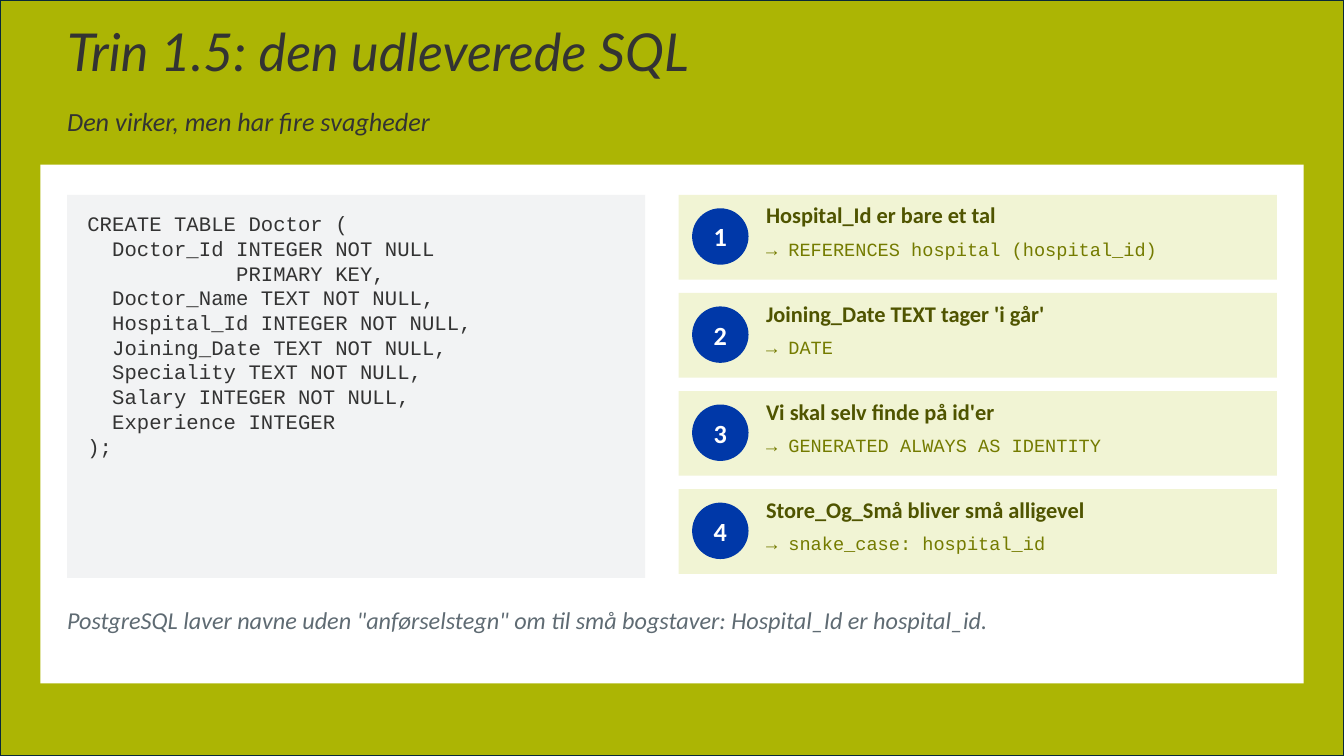
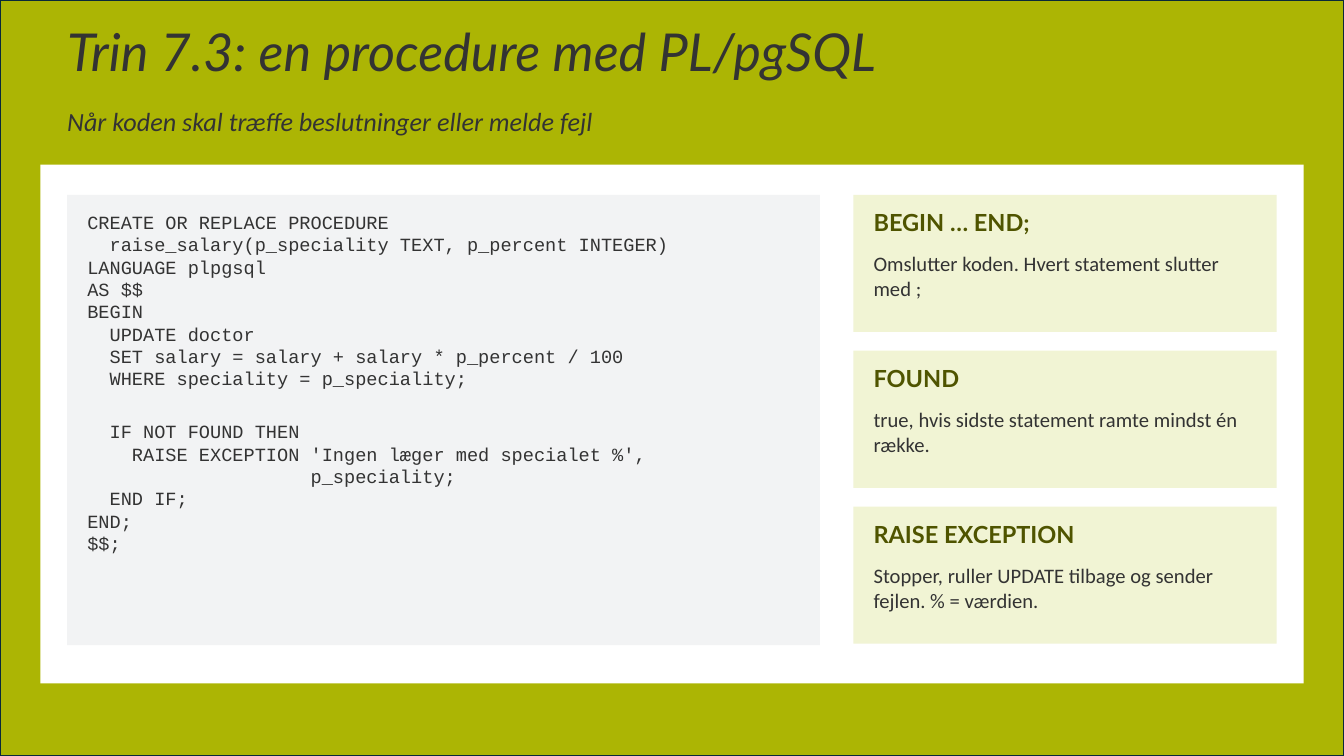
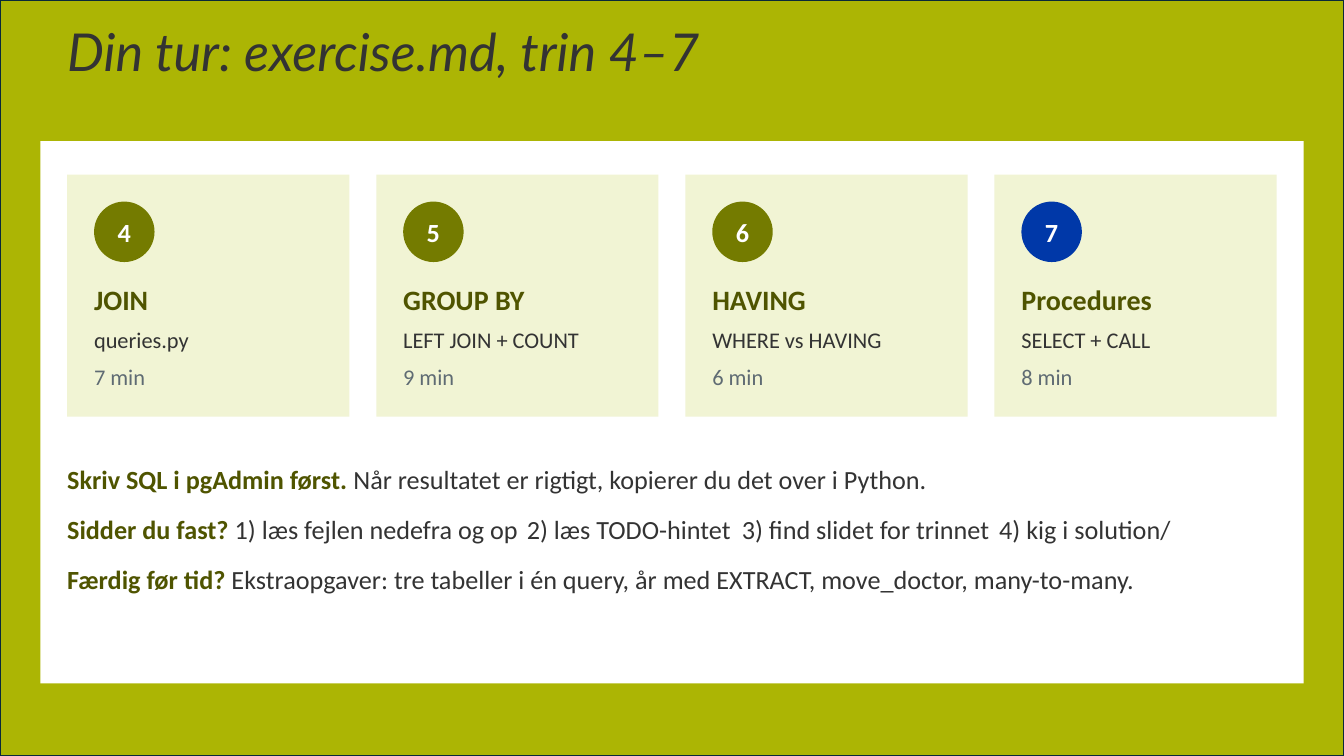
from lxml.etree import SubElement
from pptx import Presentation
from pptx.dml.color import RGBColor
from pptx.enum.shapes import MSO_SHAPE as Preset
from pptx.enum.text import MSO_ANCHOR as Anchor, PP_ALIGN as Align
from pptx.oxml.ns import qn
from pptx.util import Pt

PX = 6096  # EMU per px: 150 px to the inch
SLIDE_W, SLIDE_H = 2000, 1125
MARGIN, CONTENT_W = 100, 1800
PANEL_BOTTOM = 1017

LIME, NAVY, BLUE = "ACB504", "092A39", "0038A8"
OLIVE, DARK_OLIVE, PALE = "747B00", "4F5400", "F1F4D4"
INK, GREY, CODE_BG, WHITE = "333333", "5F6B73", "F2F3F4", "FFFFFF"
BODY, DISPLAY, MONO = "Calibri", "Lato", "Courier New"


def color(hex_string):
    return RGBColor.from_string(hex_string)


def emu(*lengths):
    return [round(length * PX) for length in lengths]


def write(frame, paragraphs, size=16, font=BODY, fill=INK, bold=False,
          italic=False, align=Align.LEFT, anchor=Anchor.TOP,
          line_spacing=None, after=None, blank_gap=21.8, tabs=()):
    """Write paragraphs; each is a string or a list of (text, fill, bold) runs.

    An empty string becomes space before the next paragraph.
    """
    frame.word_wrap = True
    frame.vertical_anchor = anchor
    frame.margin_left = frame.margin_top = 0
    frame.margin_right = frame.margin_bottom = 0
    paragraph, gap = frame.paragraphs[0], None
    for index, content in enumerate(paragraphs):
        if not content:
            gap = Pt(blank_gap)
            continue
        if index:
            paragraph = frame.add_paragraph()
        paragraph.alignment = align
        if line_spacing:
            paragraph.line_spacing = line_spacing
        if after is not None:
            paragraph.space_after = Pt(after)
        if gap:
            paragraph.space_before, gap = gap, None
        runs = [(content, fill, bold)] if isinstance(content, str) else content
        if any("\t" in text for text, _, _ in runs):
            stops = SubElement(paragraph._p.get_or_add_pPr(), qn("a:tabLst"))
            for stop in emu(*tabs):
                SubElement(stops, qn("a:tab"), pos=str(stop), algn="l")
        for text, run_fill, run_bold in runs:
            run = paragraph.add_run()
            run.text = text
            run.font.size, run.font.name = Pt(size), font
            run.font.bold, run.font.italic = run_bold, italic
            run.font.color.rgb = color(run_fill)


def add_text(slide, box, *paragraphs, **style):
    write(slide.shapes.add_textbox(*emu(*box)).text_frame, paragraphs, **style)


def add_block(slide, box, fill, preset=Preset.RECTANGLE, border=None):
    block = slide.shapes.add_shape(preset, *emu(*box))
    block.shadow.inherit = False
    block.fill.solid()
    block.fill.fore_color.rgb = color(fill)
    if border:
        block.line.color.rgb = color(border)
        block.line.width = Pt(1.5)
    else:
        block.line.fill.background()
    return block


def add_badge(slide, left, top, diameter, number, fill):
    badge = add_block(slide, (left, top, diameter, diameter), fill, Preset.OVAL)
    write(badge.text_frame, [str(number)], size=18.7, fill=WHITE, bold=True,
          align=Align.CENTER, anchor=Anchor.MIDDLE)


def add_base(deck, title, subtitle=None):
    """Frame shared by all slides: background, title, white panel."""
    slide = deck.slides.add_slide(deck.slide_layouts[6])
    add_block(slide, (0, 0, SLIDE_W, SLIDE_H), LIME, border=NAVY)
    add_text(slide, (MARGIN, 40, CONTENT_W, 110), title,
             size=37.3, font=DISPLAY, italic=True, line_spacing=0.9)
    panel_top = 245 if subtitle else 210
    add_block(slide, (60, panel_top, 1880, PANEL_BOTTOM - panel_top), WHITE)
    if subtitle:
        add_text(slide, (MARGIN, 156, CONTENT_W, 70), subtitle,
                 size=18.7, italic=True)
    return slide


def add_code(slide, box, code, size):
    left, top, width, height = box
    add_block(slide, box, CODE_BG)
    add_text(slide, (left + 30, top + 24, width - 60, height - 40),
             *code.strip().split("\n"), size=size, font=MONO)


def add_weakness(slide, box, number, problem, fix):
    left, top, width, height = box
    add_block(slide, box, PALE)
    add_badge(slide, left + 20, top + 20, 84, number, BLUE)
    add_text(slide, (left + 130, top + 10, width - 150, 55), problem,
             size=16, fill=DARK_OLIVE, bold=True)
    add_text(slide, (left + 130, top + 64, width - 150, 55), "→ " + fix,
             size=13.3, font=MONO, fill=OLIVE)


def add_keyword(slide, box, keyword, meaning):
    left, top, width, height = box
    add_block(slide, box, PALE)
    add_text(slide, (left + 30, top + 20, width - 60, 60), keyword,
             size=16.8, font=DISPLAY, fill=DARK_OLIVE, bold=True)
    add_text(slide, (left + 30, top + 84, width - 60, 108), meaning, size=14.7)


def add_step(slide, box, number, topic, detail, minutes, badge_fill):
    left, top, width, height = box
    add_block(slide, box, PALE)
    add_badge(slide, left + 40, top + 40, 90, number, badge_fill)
    lines = [(160, topic, dict(size=20, fill=DARK_OLIVE, bold=True)),
             (225, detail, {}),
             (280, f"{minutes} min", dict(fill=GREY))]
    for offset, text, style in lines:
        add_text(slide, (left + 40, top + offset, width - 60, 60), text, **style)


TABLE_SQL = """
CREATE TABLE Doctor (
  Doctor_Id INTEGER NOT NULL
            PRIMARY KEY,
  Doctor_Name TEXT NOT NULL,
  Hospital_Id INTEGER NOT NULL,
  Joining_Date TEXT NOT NULL,
  Speciality TEXT NOT NULL,
  Salary INTEGER NOT NULL,
  Experience INTEGER
);
"""

PROCEDURE_SQL = """
CREATE OR REPLACE PROCEDURE
  raise_salary(p_speciality TEXT, p_percent INTEGER)
LANGUAGE plpgsql
AS $$
BEGIN
  UPDATE doctor
  SET salary = salary + salary * p_percent / 100
  WHERE speciality = p_speciality;

  IF NOT FOUND THEN
    RAISE EXCEPTION 'Ingen læger med specialet %',
                    p_speciality;
  END IF;
END;
$$;
"""

WEAKNESSES = [
    ("Hospital_Id er bare et tal", "REFERENCES hospital (hospital_id)"),
    ("Joining_Date TEXT tager 'i går'", "DATE"),
    ("Vi skal selv finde på id'er", "GENERATED ALWAYS AS IDENTITY"),
    ("Store_Og_Små bliver små alligevel", "snake_case: hospital_id"),
]

KEYWORDS = [
    ("BEGIN … END;", "Omslutter koden. Hvert statement slutter med ;"),
    ("FOUND", "true, hvis sidste statement ramte mindst én række."),
    ("RAISE EXCEPTION",
     "Stopper, ruller UPDATE tilbage og sender fejlen. % = værdien."),
]

STEPS = [
    (4, "JOIN", "queries.py", 7, OLIVE),
    (5, "GROUP BY", "LEFT JOIN + COUNT", 9, OLIVE),
    (6, "HAVING", "WHERE vs HAVING", 6, OLIVE),
    (7, "Procedures", "SELECT + CALL", 8, BLUE),
]

ADVICE = [
    ("Skriv SQL i pgAdmin først. ",
     "Når resultatet er rigtigt, kopierer du det over i Python."),
    ("Sidder du fast? ",
     "1) læs fejlen nedefra og op\t2) læs TODO-hintet"
     "\t3) find slidet for trinnet\t4) kig i solution/"),
    ("Færdig før tid? ",
     "Ekstraopgaver: tre tabeller i én query, år med EXTRACT, "
     "move_doctor, many-to-many."),
]


def build_table_slide(deck):
    slide = add_base(deck, "Trin 1.5: den udleverede SQL",
                     "Den virker, men har fire svagheder")
    add_code(slide, (MARGIN, 290, 860, 570), TABLE_SQL, 14.7)
    for row, weakness in enumerate(WEAKNESSES):
        add_weakness(slide, (1010, 290 + row * 146, 890, 126),
                     row + 1, *weakness)
    add_text(slide, (MARGIN, 900, CONTENT_W, 110),
             'PostgreSQL laver navne uden "anførselstegn" om til små '
             "bogstaver: Hospital_Id er hospital_id.",
             size=17.3, fill=GREY, italic=True)


def build_procedure_slide(deck):
    slide = add_base(deck, "Trin 7.3: en procedure med PL/pgSQL",
                     "Når koden skal træffe beslutninger eller melde fejl")
    add_code(slide, (MARGIN, 290, 1120, 670), PROCEDURE_SQL, 13.3)
    for row, keyword in enumerate(KEYWORDS):
        add_keyword(slide, (1270, 290 + row * 232, 630, 204), *keyword)


def build_exercise_slide(deck):
    slide = add_base(deck, "Din tur: exercise.md, trin 4–7")
    for column, step in enumerate(STEPS):
        add_step(slide, (MARGIN + column * 460, 260, 420, 360), *step)
    add_text(slide, (MARGIN, 690, CONTENT_W, 300),
             *[[(lead, DARK_OLIVE, True), (advice, INK, False)]
               for lead, advice in ADVICE],
             size=18.7, after=13.3, tabs=(684, 1004, 1387))


def main():
    deck = Presentation()
    deck.slide_width, deck.slide_height = emu(SLIDE_W, SLIDE_H)
    build_table_slide(deck)
    build_procedure_slide(deck)
    build_exercise_slide(deck)
    deck.save("out.pptx")


if __name__ == "__main__":
    main()
